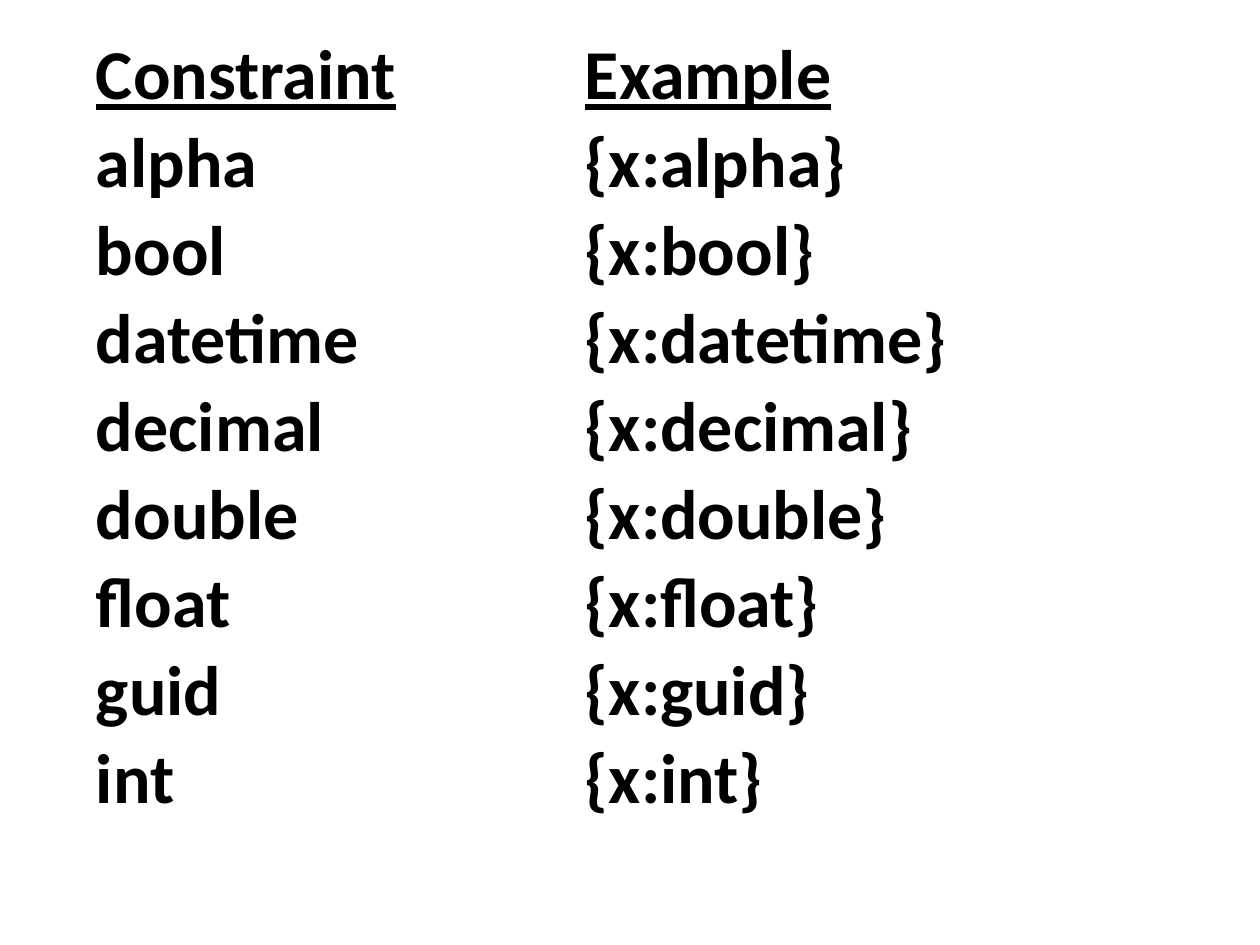
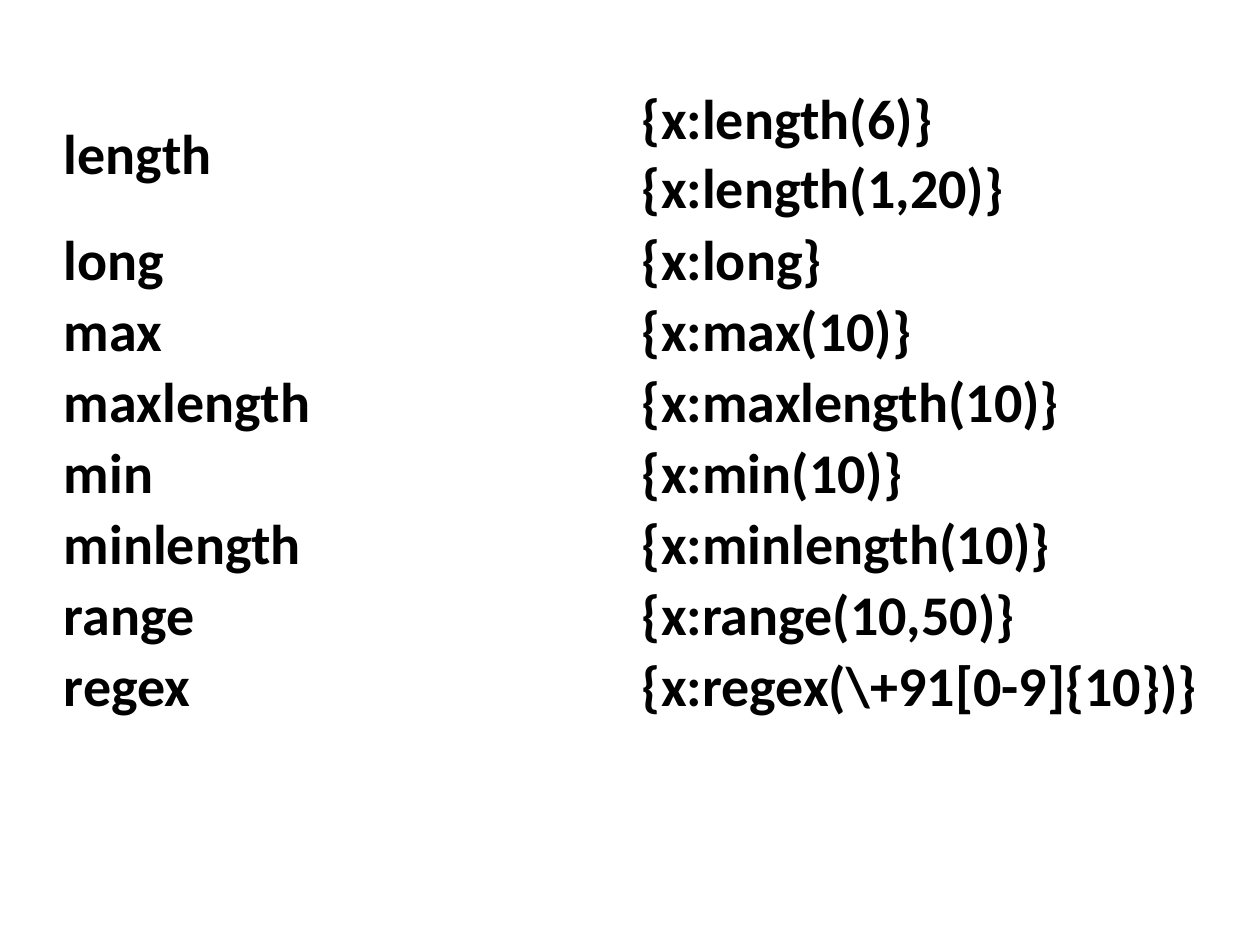
from dataclasses import dataclass

from pptx import Presentation
from pptx.dml.color import RGBColor
from pptx.enum.text import MSO_ANCHOR
from pptx.util import Emu, Pt

EMU_PER_PIXEL = 914400 / 126


@dataclass(frozen=True)
class Theme:
    """Colours, font and type sizes of the deck."""
    ink: RGBColor = RGBColor(0, 0, 0)
    paper: RGBColor = RGBColor(255, 255, 255)
    font: str = "Calibri"
    large: int = 40
    medium: int = 32
    inset: int = 1


THEME = Theme()

HEADINGS = ("Constraint", "Example")
SIMPLE_CONSTRAINTS = ("alpha", "bool", "datetime", "decimal", "double",
                      "float", "guid", "int")
# A vertical tab marks a line break within a cell.
DETAILED_CONSTRAINTS = (
    ("length", "{x:length(6)}\u00a0\v{x:length(1,20)}"),
    ("long", "{x:long}"),
    ("max", "{x:max(10)}"),
    ("maxlength", "{x:maxlength(10)}"),
    ("min", "{x:min(10)}"),
    ("minlength", "{x:minlength(10)}"),
    ("range", "{x:range(10,50)}"),
    ("regex", r"{x:regex(\+91[0-9]{10})}"),
)


def px(pixels):
    """Turn pixels into EMU."""
    return Emu(round(pixels * EMU_PER_PIXEL))


def new_slide(deck):
    """Add a blank slide with the shared background."""
    slide = deck.slides.add_slide(deck.slide_layouts[6])
    slide.background.fill.solid()
    slide.background.fill.fore_color.rgb = THEME.paper
    return slide


def fill_cell(cell, wording, size, underline):
    """Write bold text into an unfilled, vertically centred cell."""
    cell.fill.background()
    cell.vertical_anchor = MSO_ANCHOR.MIDDLE
    cell.margin_left = cell.margin_right = px(THEME.inset)
    cell.margin_top = cell.margin_bottom = px(THEME.inset)
    cell.text_frame.text = wording
    for run in cell.text_frame.paragraphs[0].runs:
        run.font.name = THEME.font
        run.font.size = Pt(size)
        run.font.bold = True
        run.font.underline = underline
        run.font.color.rgb = THEME.ink


def add_constraints(slide, entries, left, top, widths, line_height, size):
    """Add a two-column table; a row is as tall as its lines of text."""
    heights = [line_height * (1 + example.count("\v")) for _, example in entries]
    table = slide.shapes.add_table(
        len(entries), len(widths), px(left), px(top),
        px(sum(widths)), px(sum(heights))).table
    table.first_row = table.horz_banding = False
    for column, width in zip(table.columns, widths):
        column.width = px(width)
    for row, height, entry in zip(table.rows, heights, entries):
        row.height = px(height)
        for cell, wording in zip(row.cells, entry):
            fill_cell(cell, wording, size, entry == HEADINGS)


def main():
    """Build the two slides of route constraints."""
    deck = Presentation()
    deck.slide_width, deck.slide_height = px(1260), px(945)
    simple = [HEADINGS] + [(name, f"{{x:{name}}}") for name in SIMPLE_CONSTRAINTS]
    add_constraints(new_slide(deck), simple, left=95, top=32,
                    widths=(489, 509), line_height=88, size=THEME.large)
    add_constraints(new_slide(deck), DETAILED_CONSTRAINTS, left=63, top=84,
                    widths=(578, 578), line_height=71, size=THEME.medium)
    deck.save("out.pptx")


main()
